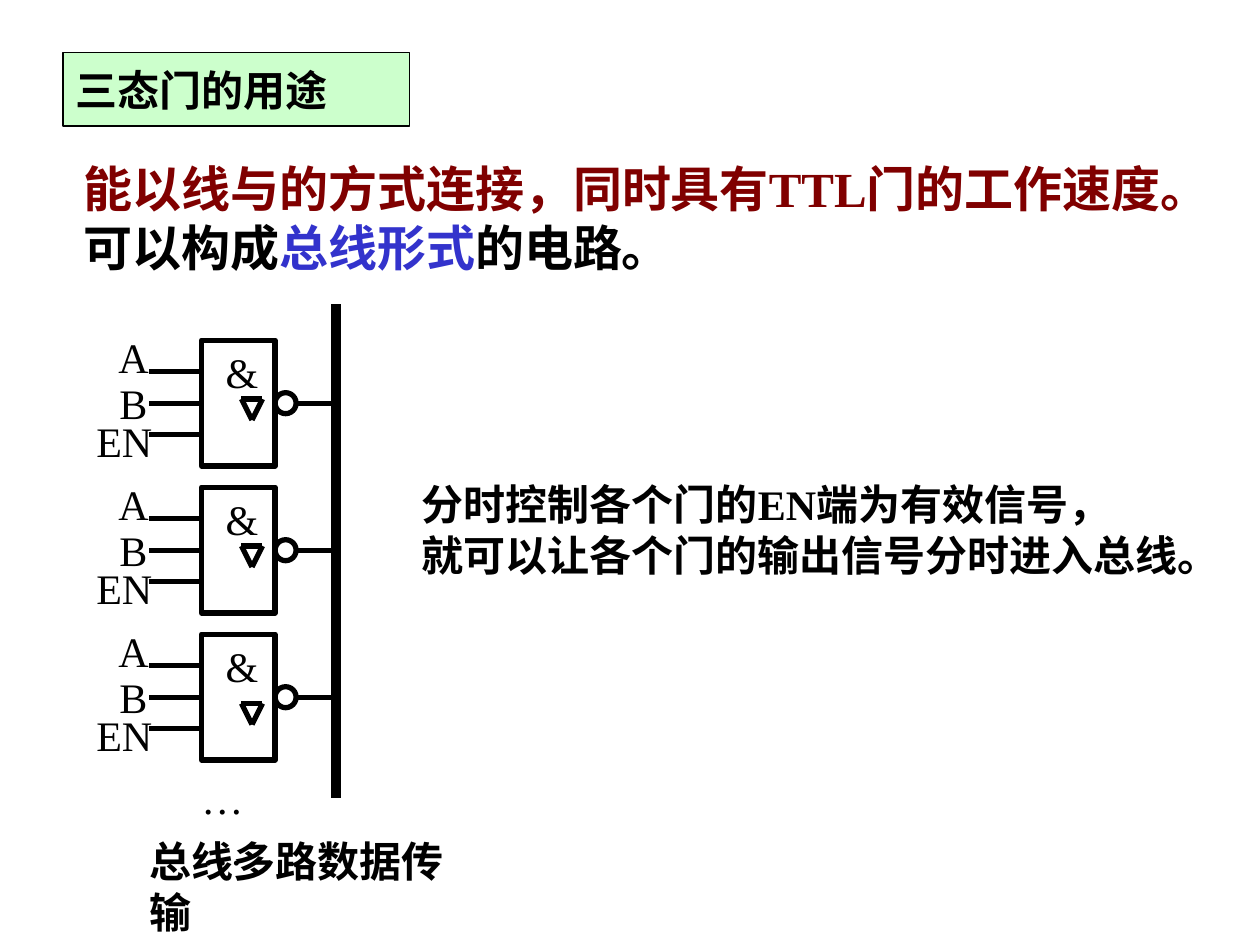
from dataclasses import dataclass
from itertools import combinations

from lxml import etree
from pptx import Presentation
from pptx.dml.color import RGBColor
from pptx.enum.shapes import MSO_CONNECTOR, MSO_SHAPE
from pptx.enum.text import MSO_ANCHOR, MSO_AUTO_SIZE
from pptx.oxml.ns import qn
from pptx.util import Emu, Inches, Pt

LINE = MSO_CONNECTOR.STRAIGHT
RECT = MSO_SHAPE.RECTANGLE
OVAL = MSO_SHAPE.OVAL
MIDDLE = MSO_ANCHOR.MIDDLE
GROW = MSO_AUTO_SIZE.SHAPE_TO_FIT_TEXT

BLACK = RGBColor(0x00, 0x00, 0x00)
MAROON = RGBColor(0x80, 0x00, 0x00)
BLUE = RGBColor(0x33, 0x33, 0xCC)
MINT = RGBColor(0xCC, 0xFF, 0xCC)
FONT = "Times New Roman"

COLS, ROWS = 120, 90  # grid over the slide
LEFT, RIGHT = 19.2, 26.2  # sides of every gate
WIRE = 14.2  # outer end of the input wires
BUS = 32
PITCH = 14


@dataclass(frozen=True)
class Box:
    x: float
    y: float
    w: float
    h: float = 6


@dataclass(frozen=True)
class Gate:
    top: float
    mark: float  # top of the tri-state triangle


@dataclass(frozen=True)
class Label:
    text: str
    x: float
    drop: float  # rows below the top of the gate
    w: float


LABELS = (
    Label("&", 20.3, 0, 5.5),
    Label("A", 10.1, -1.4, 5.3),
    Label("B", 10.2, 3, 5),
    Label("EN", 8, 6.6, 7.7),
)
GATES = [Gate(32.4 + PITCH * i, mark) for i, mark in enumerate((38, 52, 67))]

prs = Presentation()
prs.slide_width, prs.slide_height = Inches(10), Inches(7.5)
slide = prs.slides.add_slide(prs.slide_layouts[6])
shapes = slide.shapes


def across(cols: float) -> Emu:
    return Emu(round(prs.slide_width * cols / COLS))


def down(rows: float) -> Emu:
    return Emu(round(prs.slide_height * rows / ROWS))


def place(box: Box) -> tuple:
    return across(box.x), down(box.y), across(box.w), down(box.h)


def draw(kind, box: Box, fill=None, width: float = 3):
    shape = shapes.add_shape(kind, *place(box))
    shape.shadow.inherit = False
    if fill is None:
        shape.fill.background()
    else:
        shape.fill.solid()
        shape.fill.fore_color.rgb = fill
    shape.line.color.rgb = BLACK
    shape.line.width = Pt(width)
    return shape


def wire(x1: float, y1: float, x2: float, y2: float, width: float = 3):
    line = shapes.add_connector(LINE, across(x1), down(y1), across(x2), down(y2))
    line.line.color.rgb = BLACK
    line.line.width = Pt(width)
    etree.SubElement(line._element.spPr, qn("a:effectLst"))
    return line


def write(text, box: Box, size=24, bold=False, wrap=False, fill=None) -> None:
    """Take a string, or a list of paragraphs made of (words, colour) runs."""
    if fill is None:
        frame = shapes.add_textbox(*place(box)).text_frame
        frame.auto_size = GROW
    else:
        frame = draw(RECT, box, fill, 0.75).text_frame
        frame.vertical_anchor = MIDDLE
    frame.word_wrap = wrap
    paras = [[(text, BLACK)]] if isinstance(text, str) else text
    for i, runs in enumerate(paras):
        para = frame.add_paragraph() if i else frame.paragraphs[0]
        para.alignment = 1  # left
        for words, colour in runs:
            run = para.add_run()
            run.text = words
            run.font.name = FONT
            run.font.size = Pt(size)
            run.font.bold = bold
            run.font.color.rgb = colour


def draw_gate(gate: Gate) -> None:
    body = draw(RECT, Box(LEFT, gate.top, RIGHT - LEFT, 12))
    mid = gate.top + 6
    for y in (mid - 3, mid, mid + 3):
        lead = wire(WIRE, y, LEFT, y)
        if y == mid:
            lead.end_connect(body, 1)
    draw(OVAL, Box(RIGHT, mid - 1, 2, 2))
    wire(RIGHT + 2, mid, BUS, mid)
    for label in LABELS:
        write(label.text, Box(label.x, gate.top + label.drop, label.w))
    corners = ((23, gate.mark), (25, gate.mark), (24, gate.mark + 2))
    for start, end in combinations(corners, 2):
        wire(*start, *end)


write("三态门的用途", Box(6, 5, 33, 7), bold=True, wrap=True, fill=MINT)
write(
    [
        [("能以线与的方式连接，同时具有TTL门的工作速度。", MAROON)],
        [("可以构成", BLACK), ("总线形式", BLUE), ("的电路。", BLACK)],
    ],
    Box(6.8, 14.5, 116.5, 12.5), size=28, bold=True, wrap=True,
)
write(
    [
        [("分时控制各个门的EN端为有效信号，", BLACK)],
        [("就可以让各个门的输出信号分时进入总线。", BLACK)],
    ],
    Box(39, 45, 81, 10.8), bold=True, wrap=True,
)
for gate in GATES:
    draw_gate(gate)
wire(BUS, 29, BUS, 76, width=6)
write("……", Box(18, 73, 10.3))
write("总线多路数据传输", Box(13.1, 79, 34.3), bold=True)

prs.save("out.pptx")
